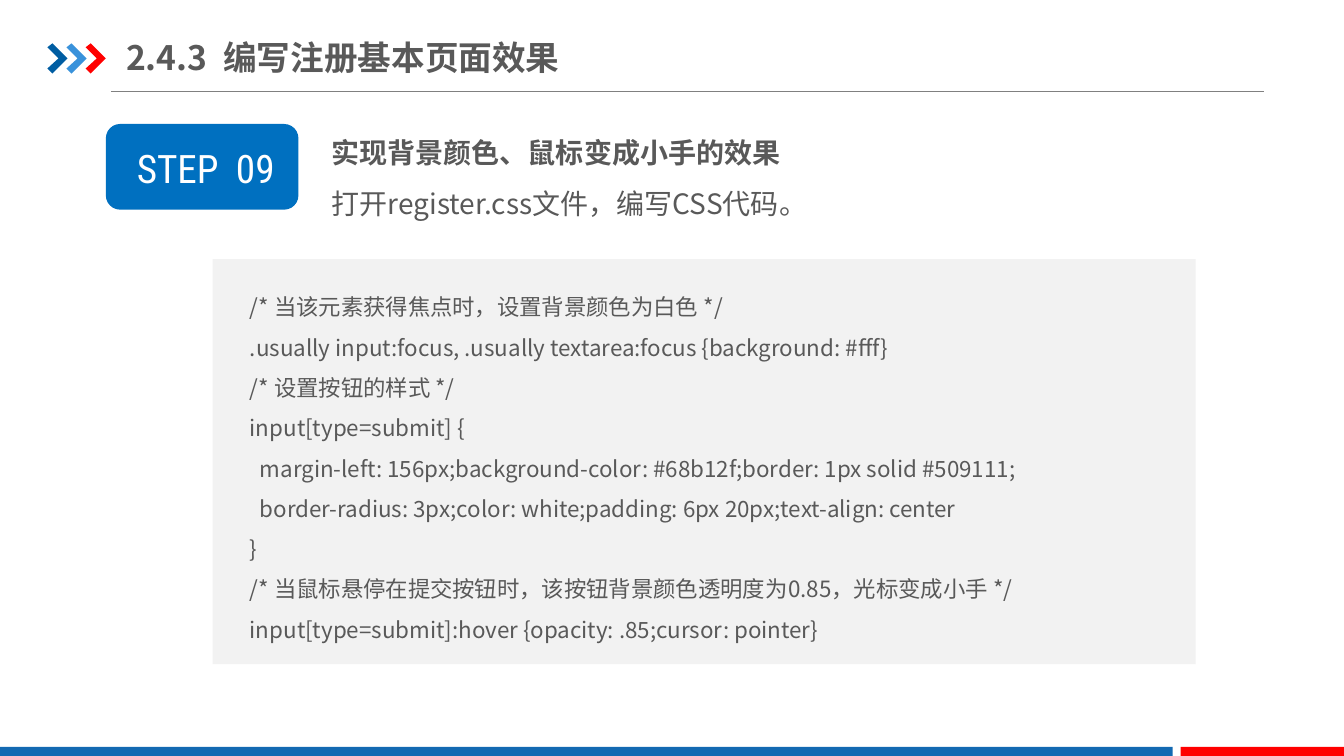
import pptx
import pptx.util
import pptx.dml.color
import pptx.enum.shapes
import pptx.enum.text
import pptx.oxml.ns
from lxml import etree

PX = 9144
SANS = "Noto Sans CJK SC"
GRAY = "595959"
MSO = pptx.enum.shapes.MSO_SHAPE
ALIGN = pptx.enum.text.PP_ALIGN
qn = pptx.oxml.ns.qn


def rgb(value):
    return pptx.dml.color.RGBColor.from_string(value)


def add_text(box, lines, size, color, font=SANS, spacing=None, bold_lines=0, gap=0):
    tb = s.shapes.add_textbox(*[v * PX for v in box])
    tf = tb.text_frame
    tf.word_wrap = True
    tf.text = "\n".join(lines)
    for i, p in enumerate(tf.paragraphs):
        p.line_spacing = spacing
        if gap:
            first, rest = p.text.split(" ", 1)
            p.text = first
            for part in (" ", rest):
                p.add_run().text = part
            p.runs[1].font._element.set("spc", str(gap))
        for r in p.runs:
            r.font.name = font
            r.font.size = pptx.util.Pt(size)
            r.font.bold = i < bold_lines
            r.font.color.rgb = rgb(color)
            ea = etree.SubElement(r.font._element, qn("a:ea"))
            ea.set("typeface", font)
    return tf


prs = pptx.Presentation()
prs.slide_width = 1333 * PX
prs.slide_height = 750 * PX
s = prs.slides.add_slide(prs.slide_layouts[6])

rule = s.shapes.add_connector(
    pptx.enum.shapes.MSO_CONNECTOR.STRAIGHT, 110 * PX, 91 * PX, 1254 * PX, 91 * PX)
rule.line.color.rgb = rgb("808080")
rule.line.width = pptx.util.Pt(0.75)
etree.SubElement(rule._element.spPr, qn("a:effectLst"))

shapes = []
chevron = [(5, 0), (20, 15), (5, 30), (0, 25), (11, 15)]
for i, color in enumerate(["005DA2", "3992DB", "FF0000"]):
    left = 47 + 19 * i
    fb = s.shapes.build_freeform(left, 47, scale=PX)
    fb.add_line_segments([(left + x, 43 + y) for x, y in chevron], close=True)
    shapes.append((fb.convert_to_shape(), color))

for kind, box, color in [
    (MSO.RECTANGLE, (0, 741, 1163, 9), "1369B2"),
    (MSO.RECTANGLE, (1171, 741, 162, 9), "FF0000"),
    (MSO.ROUNDED_RECTANGLE, (105, 123, 191, 85), "0070C0"),
    (MSO.RECTANGLE, (211, 257, 975, 402), "F2F2F2"),
]:
    shapes.append((s.shapes.add_shape(kind, *[v * PX for v in box]), color))

for sp, color in shapes:
    sp.shadow.inherit = False
    sp.fill.solid()
    sp.fill.fore_color.rgb = rgb(color)
    sp.line.fill.background()

tf = add_text((125, 29, 549, 55), ["2.4.3 编写注册基本页面效果"], 24, GRAY,
              bold_lines=1, gap=600)
tf.margin_left = tf.margin_right = 0
tf.vertical_anchor = pptx.enum.text.MSO_ANCHOR.MIDDLE

tf = add_text((115, 138, 178, 57), ["STEP 09"], 28, "FFFFFF",
              font="Roboto Condensed", gap=600)
tf.paragraphs[0].alignment = ALIGN.CENTER

add_text((319, 113, 842, 105),
         ["实现背景颜色、鼠标变成小手的效果", "打开register.css文件，编写CSS代码。"],
         20, GRAY, spacing=1.5, bold_lines=1)

code = """/* 当该元素获得焦点时，设置背景颜色为白色 */
.usually input:focus, .usually textarea:focus {background: #fff}
/* 设置按钮的样式 */
input[type=submit] {
  margin-left: 156px;background-color: #68b12f;border: 1px solid #509111;
  border-radius: 3px;color: white;padding: 6px 20px;text-align: center
}
/* 当鼠标悬停在提交按钮时，该按钮背景颜色透明度为0.85，光标变成小手 */
input[type=submit]:hover {opacity: .85;cursor: pointer}"""
add_text((238, 273, 948, 374), code.replace(" ", chr(160)).split("\n"),
         16, GRAY, spacing=1.5)

prs.save("out.pptx")
